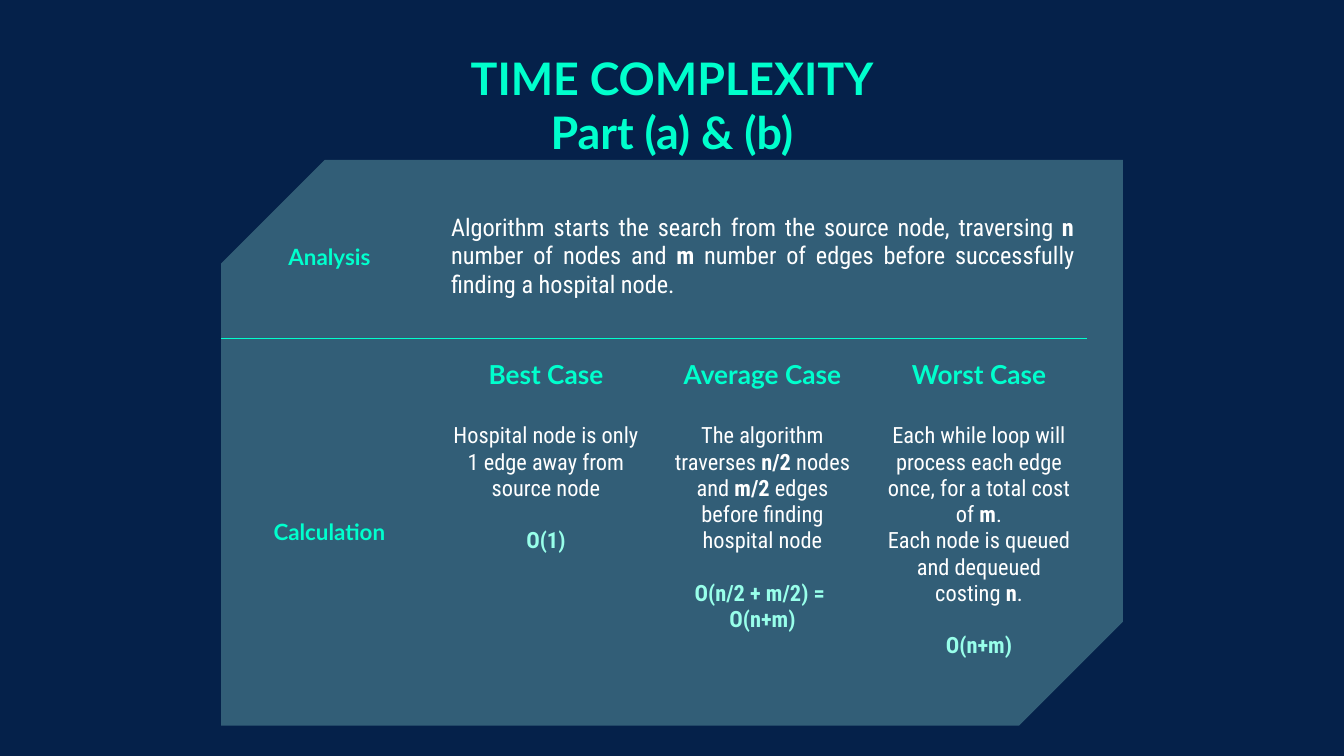
"""Build the time complexity slide with its analysis table."""
import pptx
import pptx.util
import pptx.dml.color
import pptx.enum.shapes
import pptx.enum.text
import pptx.oxml
import pptx.oxml.ns
import lxml.etree

Pt = pptx.util.Pt
RGBColor = pptx.dml.color.RGBColor
ALIGN = pptx.enum.text.PP_ALIGN
ANCHOR = pptx.enum.text.MSO_ANCHOR
qn = pptx.oxml.ns.qn

NAVY = RGBColor(0x05, 0x21, 0x4A)
MINT = RGBColor(0xAA, 0xFF, 0xEE)
PALE = RGBColor(0x98, 0xFF, 0xEA)
TEAL = RGBColor(0x00, 0xFF, 0xCD)
WHITE = RGBColor(0xFF, 0xFF, 0xFF)
HEAD = "Lato"
BODY = "Roboto Condensed"
PLAIN = "{2D5ABB26-0587-4C30-8999-92F81FD0307C}"
INSET = Pt(7.2)


def add_run(para, text, face, size, color, bold):
    run = para.add_run()
    run.text = text
    font = run.font
    font.name, font.size, font.bold = face, Pt(size), bold
    font.color.rgb = color


def add_mixed(para, parts, size):
    for i, part in enumerate(parts):
        add_run(para, part, BODY, size, WHITE, i % 2 == 1)


deck = pptx.Presentation()
deck.slide_width, deck.slide_height = Pt(720), Pt(405)
slide = deck.slides.add_slide(deck.slide_layouts[6])
slide.background.fill.solid()
slide.background.fill.fore_color.rgb = NAVY
shapes = slide.shapes

left, split = 118.5, 181.5
panel = shapes.add_shape(
    pptx.enum.shapes.MSO_SHAPE.SNIP_2_DIAG_RECTANGLE,
    Pt(left), Pt(85.7), Pt(483), Pt(303))
panel.adjustments[0] = 0.183
panel.adjustments[1] = 0
panel.shadow.inherit = False
panel.fill.solid()
panel.fill.fore_color.rgb = MINT
panel.line.fill.background()
tint = panel.fill._xPr.find(".//" + qn("a:srgbClr"))
lxml.etree.SubElement(tint, qn("a:alpha")).set("val", "28000")

rows = [88, 38, 65.5, 103.5]
frame = shapes.add_table(4, 4, Pt(left), Pt(93.5), Pt(464), Pt(sum(rows)))
table = frame.table
table.first_row = table.horz_banding = False
table._tbl.tblPr.find(qn("a:tableStyleId")).text = PLAIN
for row, high in zip(table.rows, rows):
    row.height = Pt(high)
for col in table.columns:
    col.width = Pt(116)
for cell in table.iter_cells():
    cell.fill.background()
    cell.margin_left = cell.margin_right = INSET
    cell.margin_top = cell.margin_bottom = INSET

table.cell(0, 1).merge(table.cell(0, 3))
table.cell(1, 0).merge(table.cell(3, 0))
for col in range(1, 4):
    table.cell(2, col).merge(table.cell(3, col))

labels = [
    (0, 0, "Analysis", 12),
    (1, 0, "Calculation", 12),
    (1, 1, "Best Case", 14),
    (1, 2, "Average Case", 14),
    (1, 3, "Worst Case", 14),
]
for row, col, text, size in labels:
    cell = table.cell(row, col)
    cell.vertical_anchor = ANCHOR.MIDDLE
    para = cell.text_frame.paragraphs[0]
    para.alignment = ALIGN.CENTER
    add_run(para, text, HEAD, size, TEAL, True)

cell = table.cell(0, 1)
cell.vertical_anchor = ANCHOR.MIDDLE
para = cell.text_frame.paragraphs[0]
para.alignment = ALIGN.JUSTIFY
add_mixed(para, [
    "Algorithm starts the search from the source node, traversing ", "n",
    " number of nodes and ", "m",
    " number of edges before successfully finding a hospital node."], 13)

cases = [
    ([["Hospital node is only 1 edge away from source node"]], ["O(1)"]),
    ([["The algorithm traverses ", "n/2", " nodes and ", "m/2",
       " edges before finding hospital node"]],
     ["O(n/2 + m/2) = ", "O(n+m)"]),
    ([["Each while loop will process each edge once, for a total cost of ",
       "m", "."],
      ["Each node is queued and dequeued costing ", "n", "."]], ["O(n+m)"]),
]
for col, (texts, costs) in enumerate(cases, 1):
    body = table.cell(2, col).text_frame
    for i, parts in enumerate(texts):
        para = body.add_paragraph() if i else body.paragraphs[0]
        para.alignment = ALIGN.CENTER
        add_mixed(para, parts, 12)
    for i, cost in enumerate(costs):
        para = body.add_paragraph()
        para.alignment = ALIGN.CENTER
        para.space_before = Pt(0 if i else 14)
        add_run(para, cost, BODY, 12, PALE, True)

rule = shapes.add_connector(
    pptx.enum.shapes.MSO_CONNECTOR.STRAIGHT,
    Pt(left), Pt(split), Pt(left + 464), Pt(split))
rule.line.color.rgb = TEAL
rule.line.width = Pt(0.75)
lxml.etree.SubElement(rule._element.spPr, qn("a:effectLst"))

title = shapes.add_textbox(Pt(155), Pt(20.2), Pt(410), Pt(74)).text_frame
title.word_wrap = True
title.margin_left = title.margin_right = INSET
title.margin_top = title.margin_bottom = INSET
for i, text in enumerate(["TIME COMPLEXITY", "Part (a) & (b)"]):
    para = title.add_paragraph() if i else title.paragraphs[0]
    para.alignment = ALIGN.CENTER
    add_run(para, text, HEAD, 24, TEAL, True)

deck.save("out.pptx")
